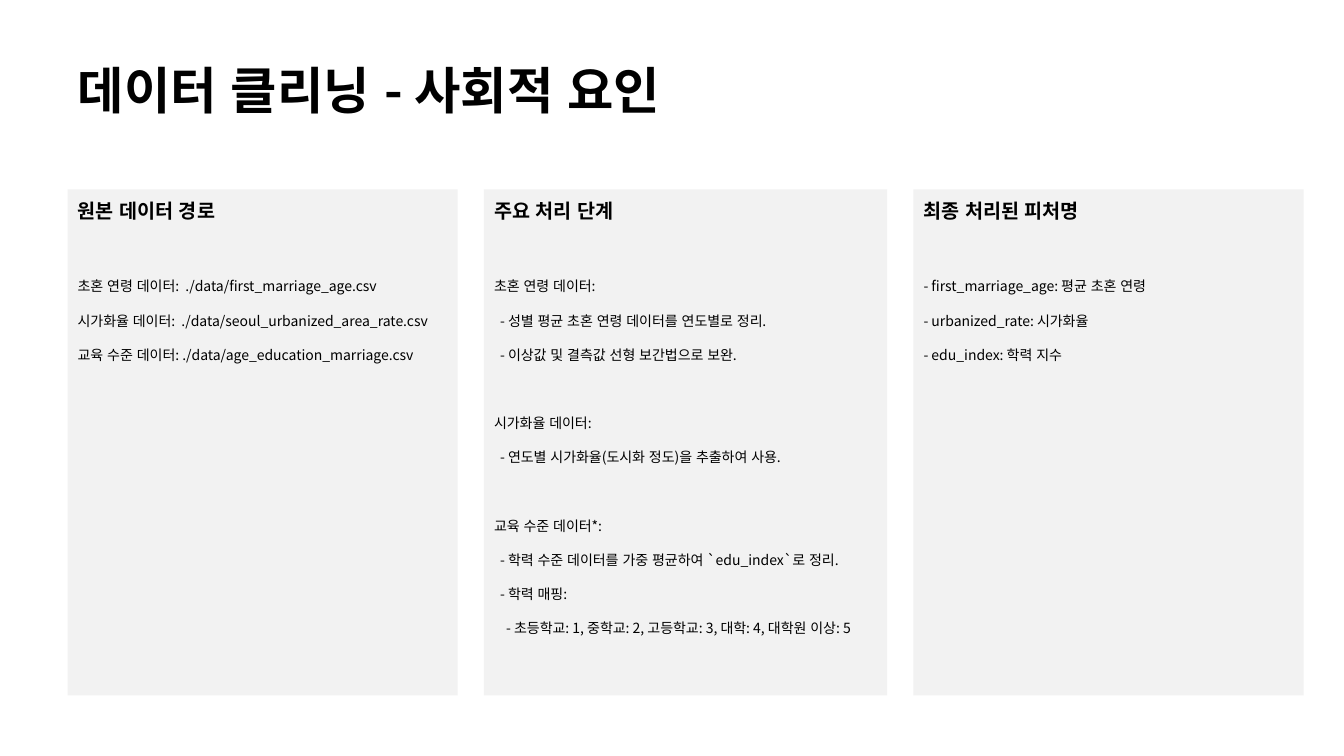
from dataclasses import dataclass

from lxml import etree
from pptx import Presentation
from pptx import util as u
from pptx.dml.color import RGBColor
from pptx.enum import text
from pptx.oxml import ns

PX = 9144  # EMU per px, 100 px to the inch


@dataclass(frozen=True)
class Theme:
    font: str = "Noto Sans CJK KR"
    ink: RGBColor = RGBColor(0, 0, 0)
    panel: RGBColor = RGBColor(0xF2, 0xF2, 0xF2)
    title: int = 36
    head: int = 14
    item: int = 10
    lead: float = 1.2
    gap: int = 10
    headgap: int = 37
    group: float = 34.5
    step: int = 6


class Deck:
    def __init__(self, theme, wide, high):
        self.theme = theme
        self.show = Presentation()
        self.show.slide_width = wide * PX
        self.show.slide_height = high * PX
        self.slide = self.show.slides.add_slide(self.show.slide_layouts[4])

    def place(self, shape, left, top, width, height):
        shape.left, shape.top = left * PX, top * PX
        shape.width, shape.height = width * PX, height * PX
        frame = shape.text_frame
        frame.word_wrap = True
        frame.auto_size = text.MSO_AUTO_SIZE.NONE
        frame.vertical_anchor = text.MSO_ANCHOR.TOP
        return frame

    def style(self, para, size, bold, lead, gap=0, level=0):
        """Format one paragraph; level sets its first-line indent."""
        para.alignment = text.PP_ALIGN.LEFT
        para.line_spacing = lead
        para.space_before = u.Pt(gap)
        para.space_after = u.Pt(0)
        props = para._p.get_or_add_pPr()
        props.set("marL", "0")
        props.set("indent", str(level * self.theme.step * PX))
        etree.SubElement(props, ns.qn("a:buNone"))
        for run in para.runs:
            font = run.font
            font.name, font.size, font.bold = self.theme.font, u.Pt(size), bold
            font.color.rgb = self.theme.ink
            marks = run._r.get_or_add_rPr()
            marks.set("lang", "ko-KR")
            marks.set("kern", "0")
            east = etree.SubElement(marks, ns.qn("a:ea"))
            east.set("typeface", self.theme.font)

    def title(self, words, *box):
        frame = self.place(self.slide.shapes.title, *box)
        frame.text = words
        self.style(frame.paragraphs[0], self.theme.title, True, 0.9)

    def panel(self, index, head, groups, *box):
        """Fill a body placeholder with a heading and groups of (level, words)."""
        theme = self.theme
        shape = self.slide.placeholders[index]
        shape.fill.solid()
        shape.fill.fore_color.rgb = theme.panel
        frame = self.place(shape, *box)
        frame.text = head
        self.style(frame.paragraphs[0], theme.head, True, theme.lead, theme.gap)
        gap = theme.headgap
        for group in groups:
            for level, words in group:
                para = frame.add_paragraph()
                para.text = words
                self.style(para, theme.item, False, theme.lead, gap, level)
                gap = theme.gap
            gap = theme.group

    def save(self):
        for holder in list(self.slide.placeholders):
            if not holder.text_frame.text:
                holder._element.getparent().remove(holder._element)
        self.show.save("out.pptx")


PANELS = [
    (387, "원본 데이터 경로", [[
        (0, "초혼 연령 데이터:  ./data/first_marriage_age.csv"),
        (0, "시가화율 데이터:  ./data/seoul_urbanized_area_rate.csv"),
        (0, "교육 수준 데이터: ./data/age_education_marriage.csv"),
    ]]),
    (400, "주요 처리 단계", [
        [
            (0, "초혼 연령 데이터:"),
            (1, "- 성별 평균 초혼 연령 데이터를 연도별로 정리."),
            (1, "- 이상값 및 결측값 선형 보간법으로 보완."),
        ],
        [
            (0, "시가화율 데이터:"),
            (1, "- 연도별 시가화율(도시화 정도)을 추출하여 사용."),
        ],
        [
            (0, "교육 수준 데이터*:"),
            (1, "- 학력 수준 데이터를 가중 평균하여 `edu_index`로 정리."),
            (1, "- 학력 매핑:"),
            (2, "- 초등학교: 1, 중학교: 2, 고등학교: 3, 대학: 4, 대학원 이상: 5"),
        ],
    ]),
    (387, "최종 처리된 피처명", [[
        (0, "- first_marriage_age: 평균 초혼 연령"),
        (0, "- urbanized_rate: 시가화율"),
        (0, "- edu_index: 학력 지수"),
    ]]),
]


def main():
    deck = Deck(Theme(), 1333, 750)
    deck.title("데이터 클리닝 - 사회적 요인", 67, 60, 1165, 124)
    left = 67
    for index, (width, head, groups) in enumerate(PANELS, 1):
        deck.panel(index, head, groups, left, 188, width, 502)
        left += width + 26
    deck.save()


if __name__ == "__main__":
    main()
